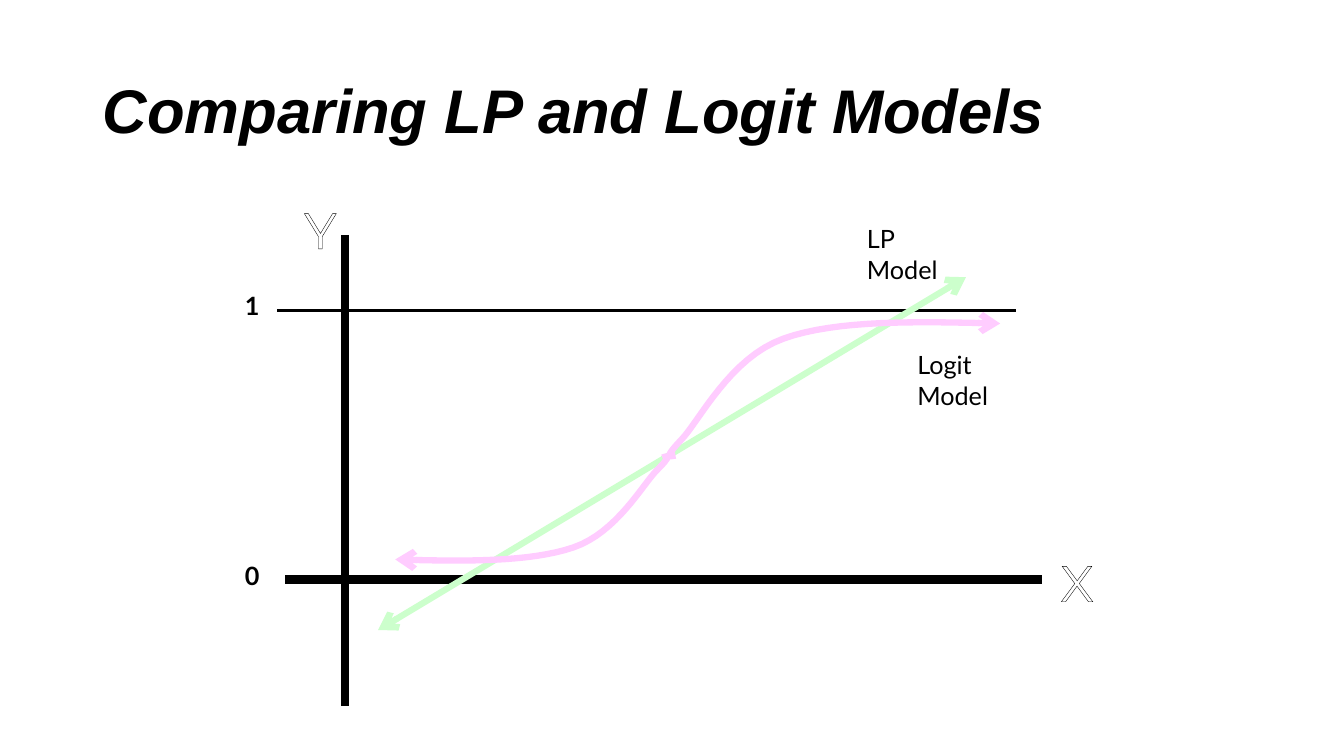
from lxml import etree
from pptx import Presentation
from pptx.dml.color import RGBColor
from pptx.enum import shapes, text
from pptx.oxml.ns import qn
from pptx.util import Inches, Pt

BLACK = RGBColor(0x00, 0x00, 0x00)
WHITE = RGBColor(0xFF, 0xFF, 0xFF)
GREEN = RGBColor(0xCC, 0xFF, 0xCC)
PINK = RGBColor(0xFF, 0xCC, 0xFF)
CURVE_STEPS = 16

# All plot coordinates are inches from the top left corner of the plot.
RULES = [  # start, end, colour, width, arrow ends
    ((1.09, 0.41), (1.09, 5.08), BLACK, 6, ()),
    ((0.5, 3.83), (8, 3.83), BLACK, 6, ()),
    ((0.42, 1.16), (7.75, 1.16), BLACK, 2.25, ()),
    ((1.42, 4.33), (7.25, 0.83), GREEN, 4.5, ("headEnd", "tailEnd")),
]
TICKS = [("0", 3.59), ("1", 0.91)]
AXIS_NAMES = [("X", 8.09, 3.5), ("Y", 0.59, 0)]
MODEL_NAMES = [("LP Model", 6.17, 0.25, 1.16), ("Logit Model", 6.67, 1.5, 1.43)]
LOGIT_HALVES = [  # start point, then control, control, end for each Bezier
    [(7.59, 1.29), (6.78, 1.27), (5.97, 1.25), (5.44, 1.44), (4.91, 1.63),
     (4.61, 2.25), (4.43, 2.44), (4.25, 2.63), (4.31, 2.61), (4.37, 2.6)],
    [(1.59, 3.63), (2.25, 3.65), (2.92, 3.66), (3.36, 3.51), (3.79, 3.36),
     (4.04, 2.89), (4.19, 2.74), (4.34, 2.59), (4.29, 2.6), (4.24, 2.62)],
]


def add_label(slide, box, words, size, font, color=BLACK, bold=None, italic=None, wrap=False):
    s = slide.shapes.add_textbox(*map(Inches, box))
    tf = s.text_frame
    tf.word_wrap = wrap
    r = tf.paragraphs[0].add_run()
    r.text = words
    r.font.size, r.font.name = Pt(size), font
    r.font.bold, r.font.italic = bold, italic
    r.font.color.rgb = color
    return tf


def outline_letters(run, color, width):
    ln = etree.Element(qn("a:ln"), w=str(Pt(width)))
    fill = etree.SubElement(ln, qn("a:solidFill"))
    etree.SubElement(fill, qn("a:srgbClr"), val=str(color))
    run.font._element.insert(0, ln)


def style_line(s, color, width, arrow_ends):
    s.line.color.rgb = color
    s.line.width = Pt(width)
    ln = s.line._get_or_add_ln()
    for end in arrow_ends:
        etree.SubElement(ln, qn(f"a:{end}"), type="arrow")


def bezier_points(points):
    """Sample a chain of cubic Bezier curves, leaving out its start point."""
    for i in range(0, len(points) - 1, 3):
        for step in range(1, CURVE_STEPS + 1):
            t = step / CURVE_STEPS
            weights = ((1 - t) ** 3, 3 * t * (1 - t) ** 2, 3 * t * t * (1 - t), t ** 3)
            yield tuple(sum(w * p[axis] for w, p in zip(weights, points[i:i + 4]))
                        for axis in (0, 1))


def add_title(slide, box):
    tf = add_label(slide, box, "Comparing LP and Logit Models", 44, "Arial",
                   bold=True, italic=True, wrap=True)
    tf.vertical_anchor = text.MSO_ANCHOR.MIDDLE
    tf.paragraphs[0].line_spacing = 0.9


def add_plot(slide, left, top):
    def place(point):
        return Inches(left + point[0]), Inches(top + point[1])

    for start, end, color, width, arrow_ends in RULES:
        s = slide.shapes.add_connector(shapes.MSO_CONNECTOR.STRAIGHT, *place(start), *place(end))
        style_line(s, color, width, arrow_ends)
        etree.SubElement(s._element.spPr, qn("a:effectLst"))

    for words, y in TICKS:
        add_label(slide, (left, top + y, 0.33, 0.4), words, 18, "Lato", bold=True)

    for words, x, y in AXIS_NAMES:
        tf = add_label(slide, (left + x, top + y, 0.39, 0.71), words, 36, "Montserrat", WHITE)
        p = tf.paragraphs[0]
        p.alignment = text.PP_ALIGN.CENTER
        outline_letters(p.runs[0], BLACK, 0.75)

    for half in LOGIT_HALVES:
        builder = slide.shapes.build_freeform(*place(half[0]))
        builder.add_line_segments([place(p) for p in bezier_points(half)], close=False)
        s = builder.convert_to_shape()
        s.shadow.inherit = False
        s.fill.background()
        style_line(s, PINK, 4.5, ("headEnd",))

    for words, x, y, width in MODEL_NAMES:
        add_label(slide, (left + x, top + y, width, 0.4), words, 18, "Lato", wrap=True)


def main():
    prs = Presentation()
    prs.slide_width, prs.slide_height = Inches(13.33), Inches(7.5)
    slide = prs.slides.add_slide(prs.slide_layouts[6])
    add_title(slide, (0.92, 0.4, 11.5, 1.45))
    add_plot(slide, 2.33, 1.92)
    prs.save("out.pptx")


if __name__ == "__main__":
    main()
